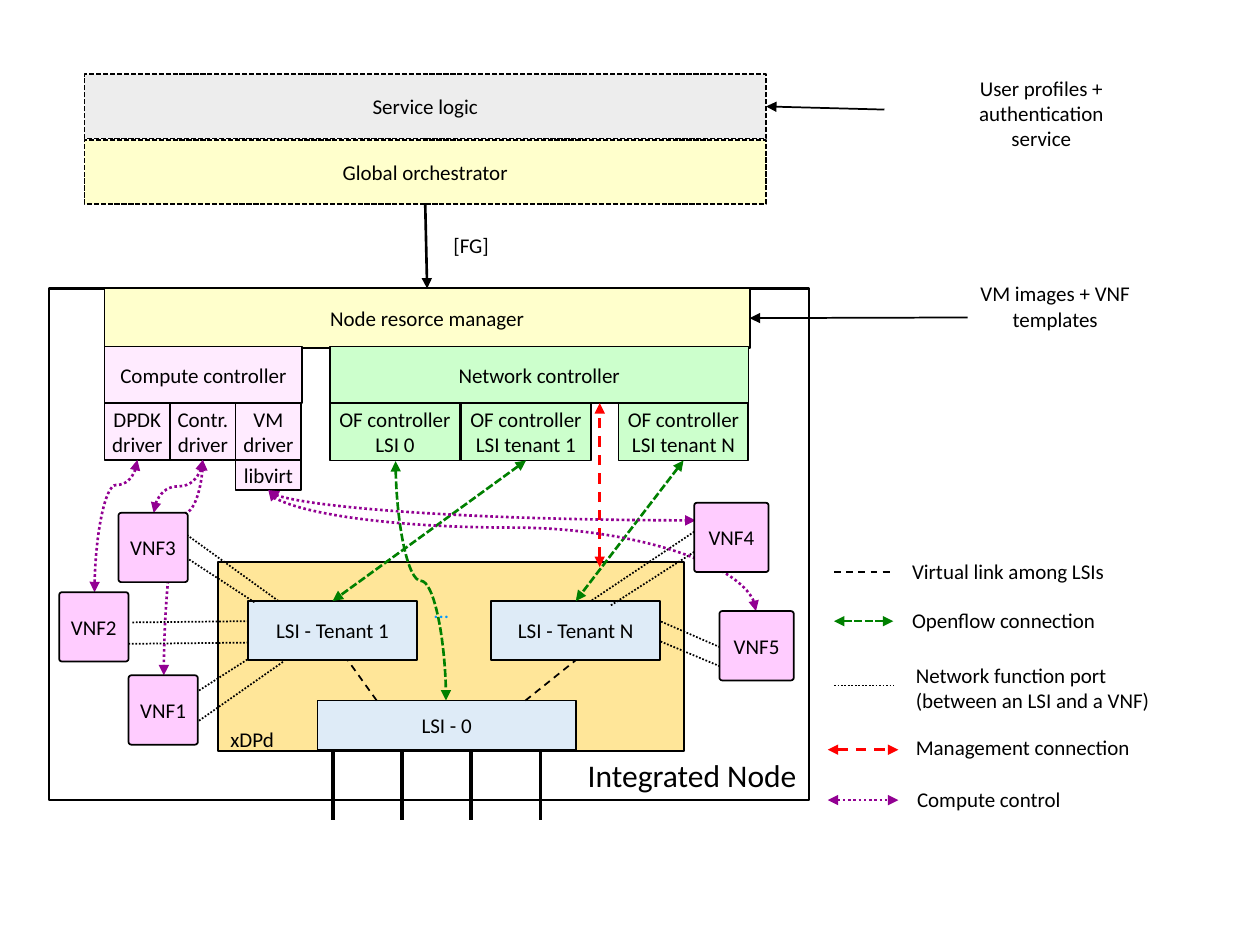
from lxml.etree import SubElement
from pptx import Presentation
from pptx.dml.color import RGBColor
from pptx.enum.dml import MSO_LINE
from pptx.enum.shapes import MSO_CONNECTOR, MSO_SHAPE
from pptx.enum.text import MSO_ANCHOR, PP_ALIGN
from pptx.oxml.ns import qn
from pptx.util import Inches, Pt

prs = Presentation()
prs.slide_width, prs.slide_height = Inches(10), Inches(7.5)
s = prs.slides.add_slide(prs.slide_layouts[6])
U = prs.slide_width / 100  # the grid has 100 columns and 75 rows of square cells

YELLOW, GREEN, PINK, LILAC, BLUE = "FFFFCC", "CCFFCC", "FFCCFF", "FFEBFF", "DEEBF7"
OPENFLOW, MANAGEMENT, COMPUTE = "008000", "FF0000", "920092"
DASH, SHORT, DOT = MSO_LINE.DASH, MSO_LINE.SQUARE_DOT, MSO_LINE.ROUND_DOT


def box(text, x, y, w, h, fill=None, dash=None, width=1, rounded=False, size=12,
        align=PP_ALIGN.CENTER, anchor=MSO_ANCHOR.MIDDLE, wrap=False, inset=(1, 0.5)):
    """Place text in grid cells, in a filled and outlined shape when fill is given."""
    place = [round(v * U) for v in (x, y, w, h)]
    if fill:
        sp = s.shapes.add_shape(MSO_SHAPE.ROUNDED_RECTANGLE if rounded else MSO_SHAPE.RECTANGLE, *place)
        if rounded:
            sp.adjustments[0] = 0.04
        sp.shadow.inherit = False
        sp.fill.solid()
        sp.fill.fore_color.rgb = RGBColor.from_string(fill)
        sp.line.color.rgb = RGBColor.from_string("000000")
        sp.line.width = Pt(width)
        if dash:
            sp.line.dash_style = dash
    else:
        sp = s.shapes.add_textbox(*place)
    tf = sp.text_frame
    tf.word_wrap = wrap
    tf.vertical_anchor = anchor
    tf.margin_left = tf.margin_right = round(inset[0] * U)
    tf.margin_top = tf.margin_bottom = round(inset[1] * U)
    for i, line in enumerate(text.split("\n") if text else []):
        p = tf.add_paragraph() if i else tf.paragraphs[0]
        p.alignment = align
        r = p.add_run()
        r.text = line
        r.font.name, r.font.size = "Calibri", Pt(size)
        r.font.color.rgb = RGBColor.from_string("000000")
    return sp


def link(x1, y1, x2, y2, color="000000", width=1, dash=None, ends=(), bend=None):
    """Draw a line, or with bend a curve that leaves downwards and turns at that share."""
    if bend is not None:
        # A curve that leaves downwards is a sideways one turned about its centre.
        rightwards = x2 > x1
        cx, cy, w, h = (x1 + x2) / 2, (y1 + y2) / 2, abs(y2 - y1), abs(x2 - x1)
        x1, y1, x2, y2 = cx - w / 2, cy - h / 2, cx + w / 2, cy + h / 2
    kind = MSO_CONNECTOR.STRAIGHT if bend is None else MSO_CONNECTOR.CURVE
    c = s.shapes.add_connector(kind, *[round(v * U) for v in (x1, y1, x2, y2)])
    c.line.color.rgb = RGBColor.from_string(color)
    c.line.width = Pt(width)
    if dash:
        c.line.dash_style = dash
    spPr = c._element.spPr
    for end in ends:
        SubElement(spPr.find(qn("a:ln")), qn(f"a:{end}End"), type="triangle")
    SubElement(spPr, qn("a:effectLst"))
    if bend is not None:
        xfrm, geom = spPr.find(qn("a:xfrm")), spPr.find(qn("a:prstGeom"))
        xfrm.set("rot", str((270 if rightwards else 90) * 60000))
        if rightwards:
            xfrm.set("flipH", "1")
        if bend == 1:
            geom.set("prst", "curvedConnector2")
        else:
            SubElement(geom.find(qn("a:avLst")), qn("a:gd"), name="adj1", fmla=f"val {round(bend * 100000)}")
    return c


BOTH = ("head", "tail")

# Node frame and switch area
box("Integrated Node", 3.9, 22.9, 60.3, 40.6, fill="FFFFFF", width=1.5, size=18,
    align=PP_ALIGN.RIGHT, anchor=MSO_ANCHOR.BOTTOM, wrap=True)
box("", 17.3, 44.6, 37, 15, fill="FFE699")
box("xDPd", 17.3, 57.2, 7.9, 3.2, align=PP_ALIGN.LEFT, anchor=MSO_ANCHOR.TOP)
dots = box("...", 33.4, 46.9, 5.2, 5.3, align=PP_ALIGN.LEFT, anchor=MSO_ANCHOR.TOP)
dots.text_frame.paragraphs[0].runs[0].font.color.rgb = RGBColor.from_string("0099FF")
box("LSI - 0", 25.2, 55.6, 20.5, 3.9, fill=BLUE)
lsi_1 = box("LSI - Tenant 1", 19.7, 47.7, 13.4, 4.7, fill=BLUE)
lsi_n = box("LSI - Tenant N", 39, 47.7, 13.4, 4.7, fill=BLUE)

# Orchestration layers
orchestrator = box("Global orchestrator", 6.7, 11.1, 54.1, 5.1, fill=YELLOW, dash=SHORT)
service = box("Service logic", 6.7, 5.9, 54.1, 5.1, fill="EDEDED", dash=SHORT)
manager = box("Node resorce manager", 8.3, 22.9, 51.2, 4.7, fill=YELLOW)

# Controllers and drivers
box("Network controller", 26.2, 27.5, 33.2, 4.5, fill=GREEN)
box("Compute controller", 8.3, 27.5, 15.7, 4.5, fill=LILAC)
of = [box(f"OF controller\nLSI {name}", x, 32, 10.3, 4.55, fill=GREEN)
      for name, x in (("0", 26.2), ("tenant 1", 36.6), ("tenant N", 49.1))]
for i, name in enumerate(("DPDK", "Contr.", "VM")):
    box(f"{name}\ndriver", 8.3 + 5.2 * i, 32, 5.2, 4.5, fill=LILAC)
box("libvirt", 18.7, 36.5, 5.2, 2.4, fill=LILAC)

# Network function ports
for ends in ((55.1, 42.2, 46.9, 47.7), (55.1, 43.8, 48.4, 48.1), (57.9, 51.7, 52.4, 49.3),
             (57.9, 53.2, 52.4, 50.9), (22.1, 47.7, 14.9, 42.5), (20.2, 47.8, 15, 44.4),
             (10.5, 49.4, 19.7, 49.3), (10.2, 51.1, 19.7, 51), (15.8, 54.8, 19.7, 52.3),
             (15.8, 57.2, 22.5, 52.5)):
    link(*ends, dash=DOT)

# Virtual links and physical ports
link(29.9, 55.6, 27.6, 52.4, dash=DASH)
link(41.7, 55.6, 45.7, 52.4, dash=DASH)
for i in range(4):
    x = 26.4 + 5.5 * i
    link(x, 59.5, x, 65.1, width=2.25)

# OpenFlow and management connections
link(31.4, 36.6, 35.4, 55.6, OPENFLOW, 1.5, SHORT, BOTH, bend=0.5)
for controller, lsi, ends in ((of[1], lsi_1, (41.7, 36.6, 26.4, 47.7)),
                              (of[2], lsi_n, (54.3, 36.5, 45.7, 47.7))):
    c = link(*ends, OPENFLOW, 1.5, SHORT, BOTH)
    c.begin_connect(controller, 2)
    c.end_connect(lsi, 0)
link(47.6, 45, 47.6, 32, MANAGEMENT, 1.5, DASH, BOTH)

# Compute control
for x1, y1, x2, y2, bend in ((10.9, 36.5, 7.5, 47, 0.19), (16.1, 36.5, 12.2, 40.7, 0.5),
                             (21.3, 38.9, 55.2, 41.3, 1), (21.3, 38.9, 60, 48.5, 0.31),
                             (16.1, 36.5, 13, 53.6, 0.25)):
    link(x1, y1, x2, y2, COMPUTE, 1.5, DOT, BOTH, bend)

# Virtual network functions
for i, (x, y, w) in enumerate(((10.2, 53.6, 5.5), (4.7, 47, 5.5), (9.4, 40.7, 5.5),
                               (55.1, 39.9, 5.9), (57.1, 48.5, 5.9)), 1):
    box(f"VNF{i}", x, y, w, 5.5, fill=PINK, rounded=True)

# Inputs
c = link(33.8, 16, 33.8, 22.7, width=1.5, ends=["tail"])
c.begin_connect(orchestrator, 2)
c.end_connect(manager, 0)
link(60.8, 8.7, 70.2, 8.7, ends=["head"]).begin_connect(service, 3)
link(59.4, 25.4, 76.8, 25.2, ends=["head"]).begin_connect(manager, 3)
box("[FG]", 35, 18, 22, 3.2, align=PP_ALIGN.LEFT, anchor=MSO_ANCHOR.TOP)
for text, x, y, w, h in (("User profiles + authentication service", 74.8, 5.6, 15.7, 6.9),
                         ("VM images + VNF templates", 77.4, 21.9, 12.7, 4.8)):
    box(text, x, y, w, h, anchor=MSO_ANCHOR.TOP, wrap=True, inset=(0.4, 0.4))

# Legend
for text, x, y, h, x1, x2, line_y, style in (
        ("Virtual link among LSIs", 71.4, 43.8, 3.2, 66.2, 70.9, 45.4, dict(dash=DASH)),
        ("Openflow connection", 71.4, 47.7, 3.2, 66.2, 70.9, 49.3,
         dict(color=OPENFLOW, width=1.5, dash=SHORT, ends=BOTH)),
        ("Network function port (between an LSI and a VNF)", 71.7, 52.1, 5.3, 66.2, 70.9, 54.4,
         dict(dash=DOT)),
        ("Management connection", 71.7, 57.8, 3.2, 65.7, 71.3, 59.5,
         dict(color=MANAGEMENT, width=1.5, dash=DASH, ends=BOTH)),
        ("Compute control", 71.8, 61.9, 3.2, 65.7, 71.3, 63.5,
         dict(color=COMPUTE, width=1.5, dash=DOT, ends=BOTH))):
    link(x1, line_y, x2, line_y, **style)
    box(text, x, y, 23.4, h, align=PP_ALIGN.LEFT, anchor=MSO_ANCHOR.TOP, wrap=True)

prs.save("out.pptx")
